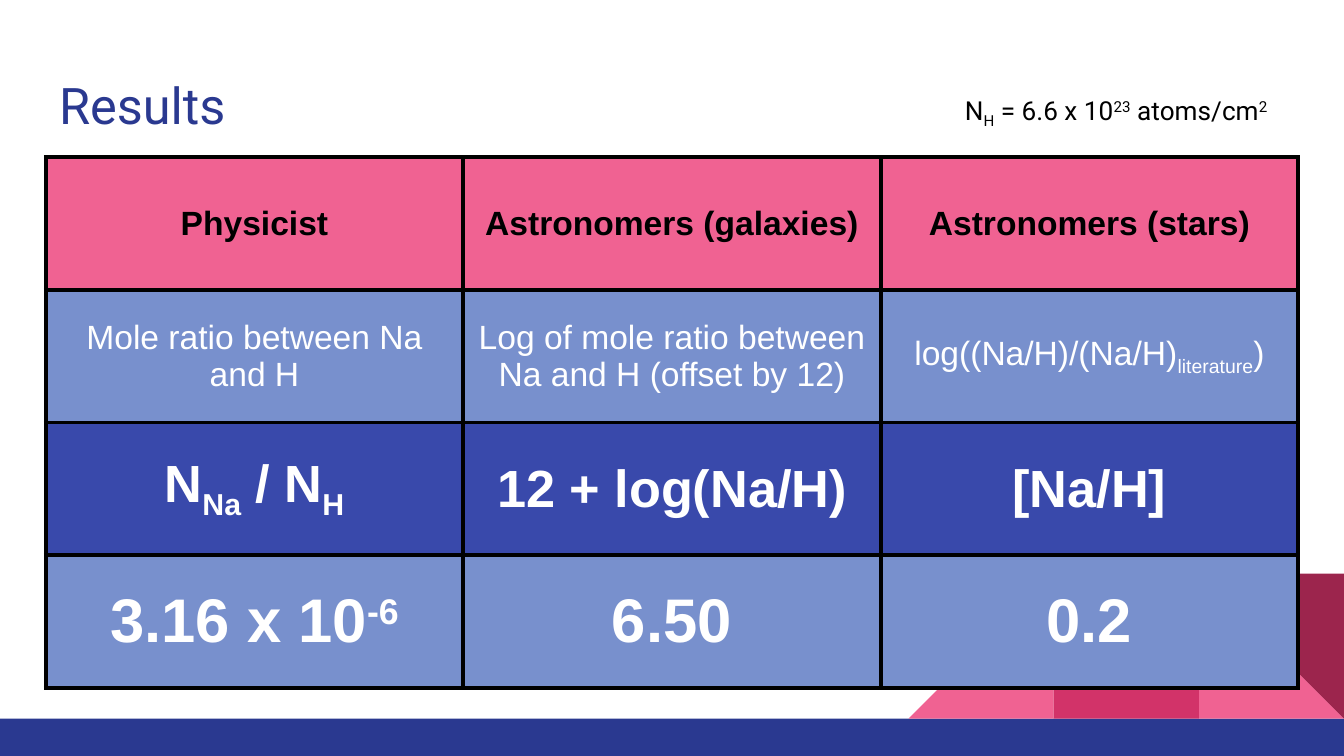
from dataclasses import dataclass

import lxml.etree
import pptx
import pptx.dml.color
import pptx.enum.shapes
import pptx.enum.text
import pptx.oxml.ns
import pptx.util

Pt = pptx.util.Pt
qn = pptx.oxml.ns.qn
Shape = pptx.enum.shapes.MSO_SHAPE
Align = pptx.enum.text.PP_ALIGN
Anchor = pptx.enum.text.MSO_ANCHOR


@dataclass(frozen=True)
class Theme:
    navy: str = "2A3990"
    indigo: str = "3949AB"
    periwinkle: str = "7890CD"
    pink: str = "F06292"
    crimson: str = "D23369"
    maroon: str = "9C254D"
    black: str = "000000"
    white: str = "FFFFFF"
    heading_font: str = "Roboto"
    table_font: str = "Arial"
    title_size: float = 27
    note_size: float = 14
    label_size: float = 18
    symbol_size: float = 28
    value_size: float = 33
    border: float = 2.25
    inset: float = 7.2
    subscript: int = -25000
    superscript: int = 30000


THEME = Theme()
SLIDE_WIDTH, SLIDE_HEIGHT = 720, 405


def rgb(code):
    return pptx.dml.color.RGBColor.from_string(code)


def sub(text):
    return text, THEME.subscript


def sup(text):
    return text, THEME.superscript


def write_text(frame, pieces, *, font, size, color, bold=False, align=Align.LEFT):
    para = frame.paragraphs[0]
    para.alignment = align
    for piece in pieces:
        text, baseline = (piece, 0) if isinstance(piece, str) else piece
        span = para.add_run()
        span.text = text
        span.font.name = font
        span.font.size = Pt(size)
        span.font.bold = bold
        span.font.color.rgb = rgb(color)
        if baseline:
            span.font._element.set("baseline", str(baseline))


def set_insets(holder):
    holder.margin_left = holder.margin_right = Pt(THEME.inset)
    holder.margin_top = holder.margin_bottom = Pt(THEME.inset)


def add_block(page, kind, left, top, width, height, color):
    block = page.shapes.add_shape(kind, Pt(left), Pt(top), Pt(width), Pt(height))
    block.shadow.inherit = False
    block.fill.solid()
    block.fill.fore_color.rgb = rgb(color)
    block.line.fill.background()
    return block


def place_footer(page, left, top, width, height):
    add_block(page, Shape.RECTANGLE, left, top, width, height, THEME.navy)
    side = 77.75
    tile_top = top - side
    first, second, third = (left + width - side * count for count in (3, 2, 1))
    add_block(page, Shape.RIGHT_TRIANGLE, third, tile_top, side, side, THEME.pink)
    ramp = add_block(page, Shape.RIGHT_TRIANGLE, first, tile_top, side, side, THEME.pink)
    ramp._element.spPr.find(qn("a:xfrm")).set("flipH", "1")
    add_block(page, Shape.RECTANGLE, second, tile_top, side, side, THEME.crimson)
    corner = add_block(page, Shape.RIGHT_TRIANGLE, third, tile_top, side, side, THEME.maroon)
    corner.rotation = 180


def place_title(page, left, top, width, height):
    title = page.shapes.title
    title.left, title.top, title.width, title.height = map(Pt, (left, top, width, height))
    frame = title.text_frame
    frame.auto_size = pptx.enum.text.MSO_AUTO_SIZE.NONE
    frame.vertical_anchor = Anchor.TOP
    set_insets(frame)
    write_text(frame, ["Results"], font=THEME.heading_font,
               size=THEME.title_size, color=THEME.navy)


def place_note(page, left, top, width, height):
    box = page.shapes.add_textbox(Pt(left), Pt(top), Pt(width), Pt(height))
    frame = box.text_frame
    frame.word_wrap = True
    set_insets(frame)
    pieces = ["N", sub("H"), " = 6.6 x 10", sup("23"), " atoms/cm", sup("2")]
    write_text(frame, pieces, font=THEME.heading_font,
               size=THEME.note_size, color=THEME.black)


def add_borders(cell):
    properties = cell._tc.get_or_add_tcPr()
    for position, side in enumerate(("lnL", "lnR", "lnT", "lnB")):
        line = lxml.etree.Element(qn(f"a:{side}"), w=str(Pt(THEME.border)))
        fill = lxml.etree.SubElement(line, qn("a:solidFill"))
        lxml.etree.SubElement(fill, qn("a:srgbClr"), val=THEME.black)
        properties.insert(position, line)


def place_results_table(page, left, top, width, height):
    rows = [
        (THEME.pink, THEME.black, THEME.label_size, True,
         [["Physicist"], ["Astronomers (galaxies)"], ["Astronomers (stars)"]]),
        (THEME.periwinkle, THEME.white, THEME.label_size, False,
         [["Mole ratio between Na and H"],
          ["Log of mole ratio between Na and H (offset by 12)"],
          ["log((Na/H)/(Na/H)", sub("literature"), ")"]]),
        (THEME.indigo, THEME.white, THEME.symbol_size, True,
         [["N", sub("Na"), " / N", sub("H")], ["12 + log(Na/H)"], ["[Na/H]"]]),
        (THEME.periwinkle, THEME.white, THEME.value_size, True,
         [["3.16 x 10", sup("-6")], ["6.50"], ["0.2"]]),
    ]
    table = page.shapes.add_table(len(rows), 3, Pt(left), Pt(top), Pt(width), Pt(height)).table
    table.first_row = table.horz_banding = False
    for column in table.columns:
        column.width = Pt(width / 3)
    for row, (fill, color, size, bold, contents) in zip(table.rows, rows):
        row.height = Pt(height / len(rows))
        for cell, pieces in zip(row.cells, contents):
            cell.fill.solid()
            cell.fill.fore_color.rgb = rgb(fill)
            cell.vertical_anchor = Anchor.MIDDLE
            set_insets(cell)
            add_borders(cell)
            write_text(cell.text_frame, pieces, font=THEME.table_font, size=size,
                       color=color, bold=bold, align=Align.CENTER)


def main():
    deck = pptx.Presentation()
    deck.slide_width, deck.slide_height = Pt(SLIDE_WIDTH), Pt(SLIDE_HEIGHT)
    page = deck.slides.add_slide(deck.slide_layouts[5])
    place_footer(page, 0, 385, SLIDE_WIDTH, 20)
    place_title(page, 24.5, 32.4, 671, 47.5)
    place_results_table(page, 24.5, 84.2, 671, 284.4)
    place_note(page, 509.8, 43.2, 180.7, 31.7)
    deck.save("out.pptx")


if __name__ == "__main__":
    main()
